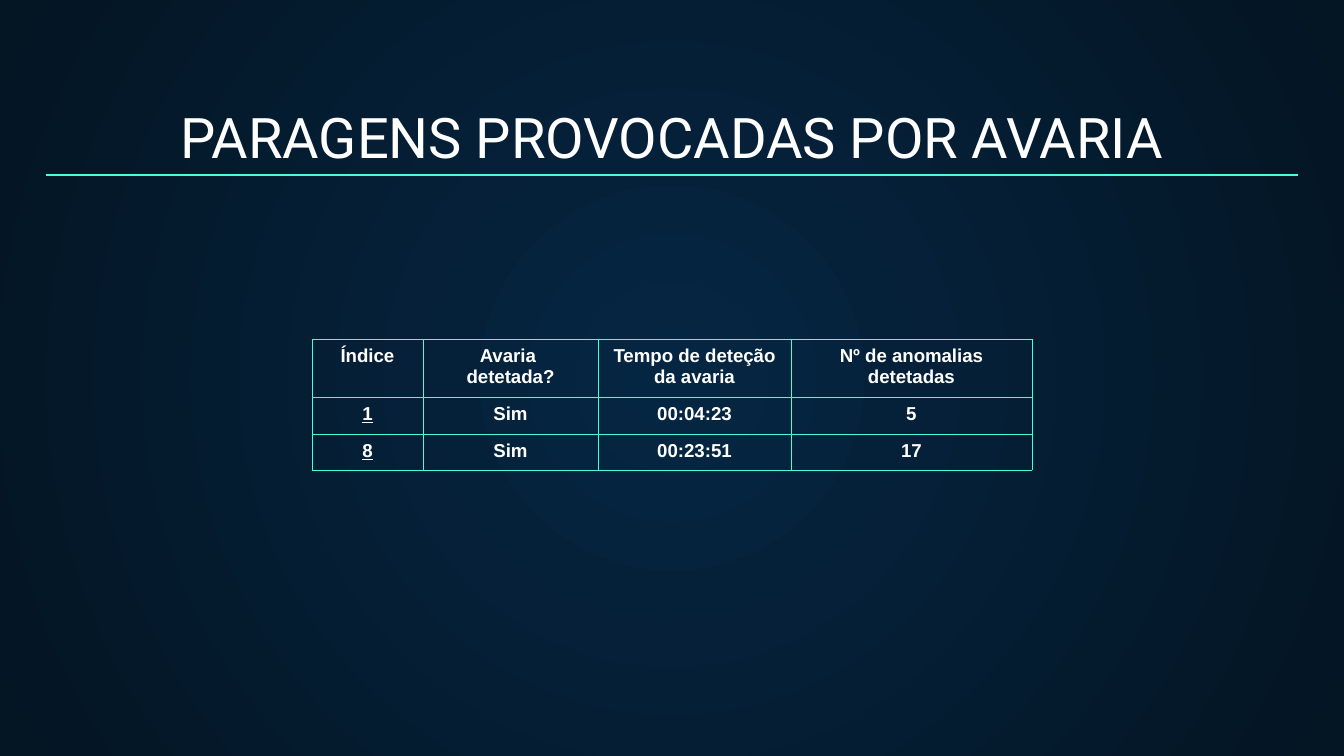
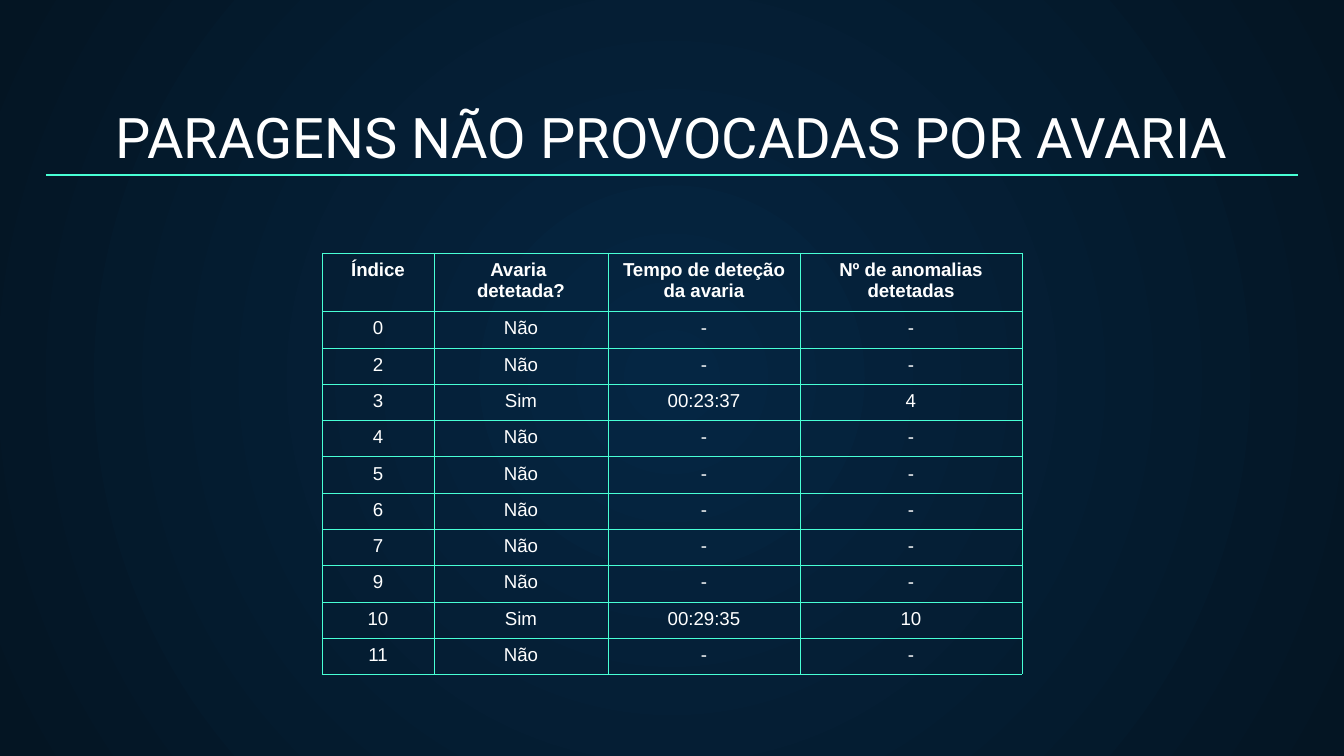
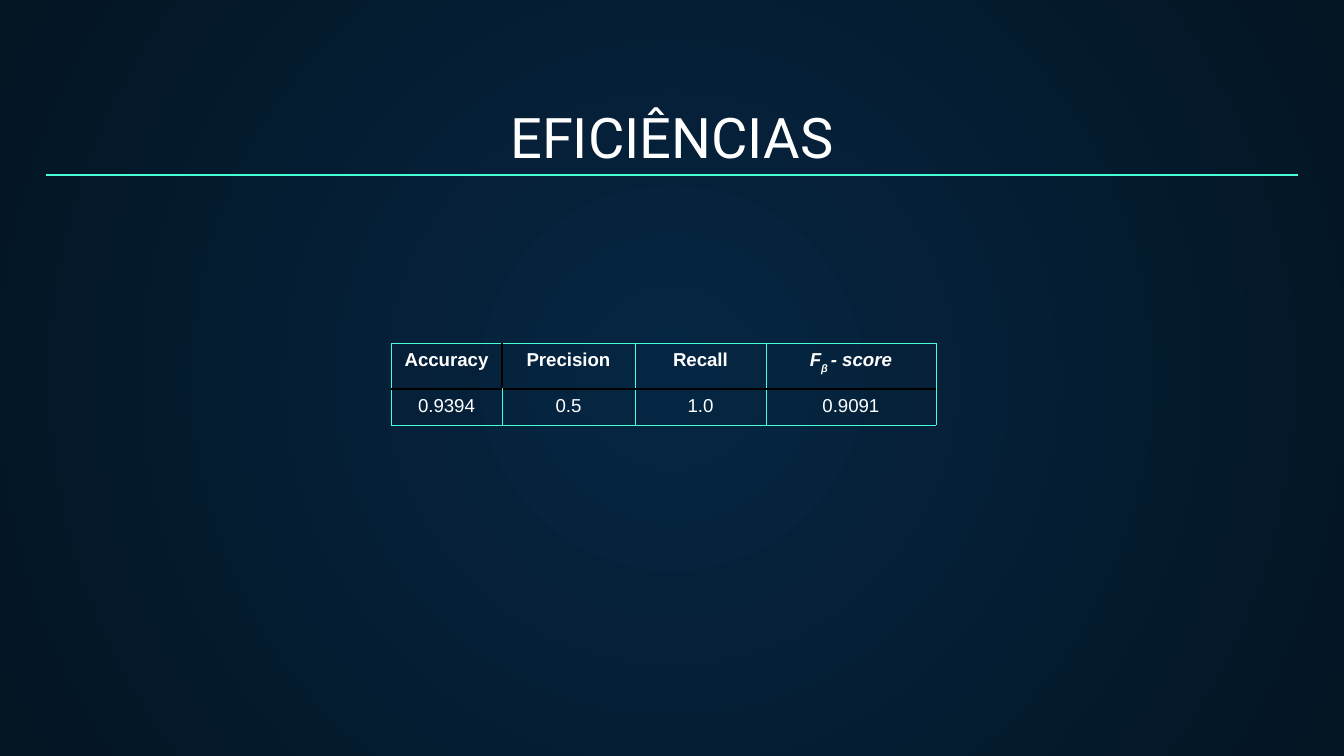
from lxml import etree
from pptx import Presentation, util as u
from pptx.dml.color import RGBColor
from pptx.enum import shapes, text
from pptx.oxml import ns

# Shared look
SCALE = 914400 / 134.4  # EMU in one px
PAGE = (1344, 756)
WHITE = RGBColor(0xFF, 0xFF, 0xFF)
BLACK = RGBColor(0x00, 0x00, 0x00)
MINT = RGBColor(0x48, 0xFF, 0xD5)
NAVY = RGBColor(0x05, 0x26, 0x43)
NIGHT = RGBColor(0x04, 0x15, 0x23)
TITLE_BOX = (46, 94, 1252, 89)
RULE_Y = 175
THIN = (MINT, 0.06)
HEAVY = (BLACK, 1)

# Table contents
STOP_HEADER = ["Índice", "Avaria \ndetetada?", "Tempo de deteção da avaria",
               "Nº de anomalias detetadas"]
FAULT_STOPS = [["1", "Sim", "00:04:23", "5"],
               ["8", "Sim", "00:23:51", "17"]]
DETECTED = {3: ["Sim", "00:23:37", "4"], 10: ["Sim", "00:29:35", "10"]}
OTHER_STOPS = [[str(index)] + DETECTED.get(index, ["Não", "-", "-"])
               for index in range(12) if index not in (1, 8)]
SCORE_HEADER = ["Accuracy", "Precision", "Recall", ("F", "β ", "- score")]
SCORES = [["0.9394", "0.5", "1.0", "0.9091"]]


def px(length):
    return u.Emu(round(length * SCALE))


def add_span(para, words, size, font, bold=False):
    span = para.add_run()
    span.text = words
    span.font.size = u.Pt(size)
    span.font.name = font
    span.font.bold = bold
    span.font.color.rgb = WHITE
    return span


def paint_background(page):
    """Radial gradient from the centre outwards."""
    fill = page.background.fill
    fill.gradient()
    for stop, colour, position in zip(fill.gradient_stops, (NAVY, NIGHT), (0, 1)):
        stop.color.rgb = colour
        stop.position = position
    gradient = page.element.find(".//" + ns.qn("a:gradFill"))
    gradient.remove(gradient.find(ns.qn("a:lin")))
    circle = etree.SubElement(gradient, ns.qn("a:path"), path="circle")
    etree.SubElement(circle, ns.qn("a:fillToRect"),
                     {side: "50000" for side in "ltrb"})


def add_title(page, words, box):
    left, top, width, height = box
    frame = page.shapes.add_textbox(*map(px, box)).text_frame
    frame.word_wrap = True
    frame.vertical_anchor = text.MSO_ANCHOR.BOTTOM
    frame.margin_left = frame.margin_right = u.Inches(0.1)
    frame.margin_top = frame.margin_bottom = u.Inches(0.1)
    para = frame.paragraphs[0]
    para.alignment = text.PP_ALIGN.CENTER
    add_span(para, words, 30, "Roboto")

    # Line under the title
    rule = page.shapes.add_connector(shapes.MSO_CONNECTOR.STRAIGHT, px(left),
                                     px(RULE_Y), px(left + width), px(RULE_Y))
    rule.line.color.rgb = MINT
    rule.line.width = u.Pt(0.75)
    etree.SubElement(rule.element.spPr, ns.qn("a:effectLst"))


def set_borders(cell, edges):
    properties = cell._tc.get_or_add_tcPr()
    for order, side in enumerate("LRTB"):
        colour, width = edges.get(side, THIN)
        line = etree.Element(ns.qn("a:ln" + side), w=str(u.Pt(width)))
        solid = etree.SubElement(line, ns.qn("a:solidFill"))
        etree.SubElement(solid, ns.qn("a:srgbClr"), val=str(colour))
        properties.insert(order, line)


def fill_cell(cell, content, bold, underline):
    """Text gives one paragraph a line; a tuple gives base, subscript, rest."""
    cell.fill.background()
    frame = cell.text_frame
    lines = [content] if isinstance(content, tuple) else content.split("\n")
    for number, line in enumerate(lines):
        para = frame.add_paragraph() if number else frame.paragraphs[0]
        para.alignment = text.PP_ALIGN.CENTER
        if isinstance(line, tuple):
            spans = [add_span(para, part, 10, "Arial", bold) for part in line]
            for span in spans:
                span.font.italic = True
            spans[1].font._element.set("baseline", "-33000")
        else:
            span = add_span(para, line, 10, "Arial", bold)
            if underline:
                span.font.underline = True


def add_grid(page, corner, columns, heights, header, body,
             bold_body=False, underline_index=False, edges=None):
    """heights holds the header height and the height all body rows share."""
    rows = [header] + body
    header_height, body_height = heights
    grid = page.shapes.add_table(len(rows), len(columns), *map(px, corner),
                                 px(sum(columns)), px(sum(heights))).table
    grid.first_row = grid.horz_banding = False
    for column, width in zip(grid.columns, columns):
        column.width = px(width)
    for r, row in enumerate(rows):
        grid.rows[r].height = px(body_height / len(body) if r else header_height)
        for c, content in enumerate(row):
            cell = grid.cell(r, c)
            fill_cell(cell, content, bold_body or r == 0,
                      underline_index and r > 0 and c == 0)
            set_borders(cell, (edges or {}).get((r, c), {}))


def add_page(deck, title):
    page = deck.slides.add_slide(deck.slide_layouts[6])
    paint_background(page)
    add_title(page, title, TITLE_BOX)
    return page


def score_edges():
    """Heavy lines under the header and between its first two cells."""
    edges = {(0, c): {"B": HEAVY} for c in range(4)}
    edges.update({(1, c): {"T": HEAVY} for c in range(4)})
    edges[0, 0]["R"] = edges[0, 1]["L"] = HEAVY
    return edges


def main():
    deck = Presentation()
    deck.slide_width, deck.slide_height = map(px, PAGE)

    page = add_page(deck, "PARAGENS PROVOCADAS POR AVARIA")
    add_grid(page, (312, 339), (111, 175, 193, 241), (58, 73), STOP_HEADER,
             FAULT_STOPS, bold_body=True, underline_index=True)

    page = add_page(deck, "PARAGENS NÃO PROVOCADAS POR AVARIA")
    add_grid(page, (322, 253), (112, 174, 192, 222), (58, 363), STOP_HEADER,
             OTHER_STOPS)

    page = add_page(deck, "EFICIÊNCIAS")
    add_grid(page, (391, 343), (111, 133, 131, 170), (46, 36), SCORE_HEADER,
             SCORES, edges=score_edges())

    deck.save("out.pptx")


if __name__ == "__main__":
    main()
